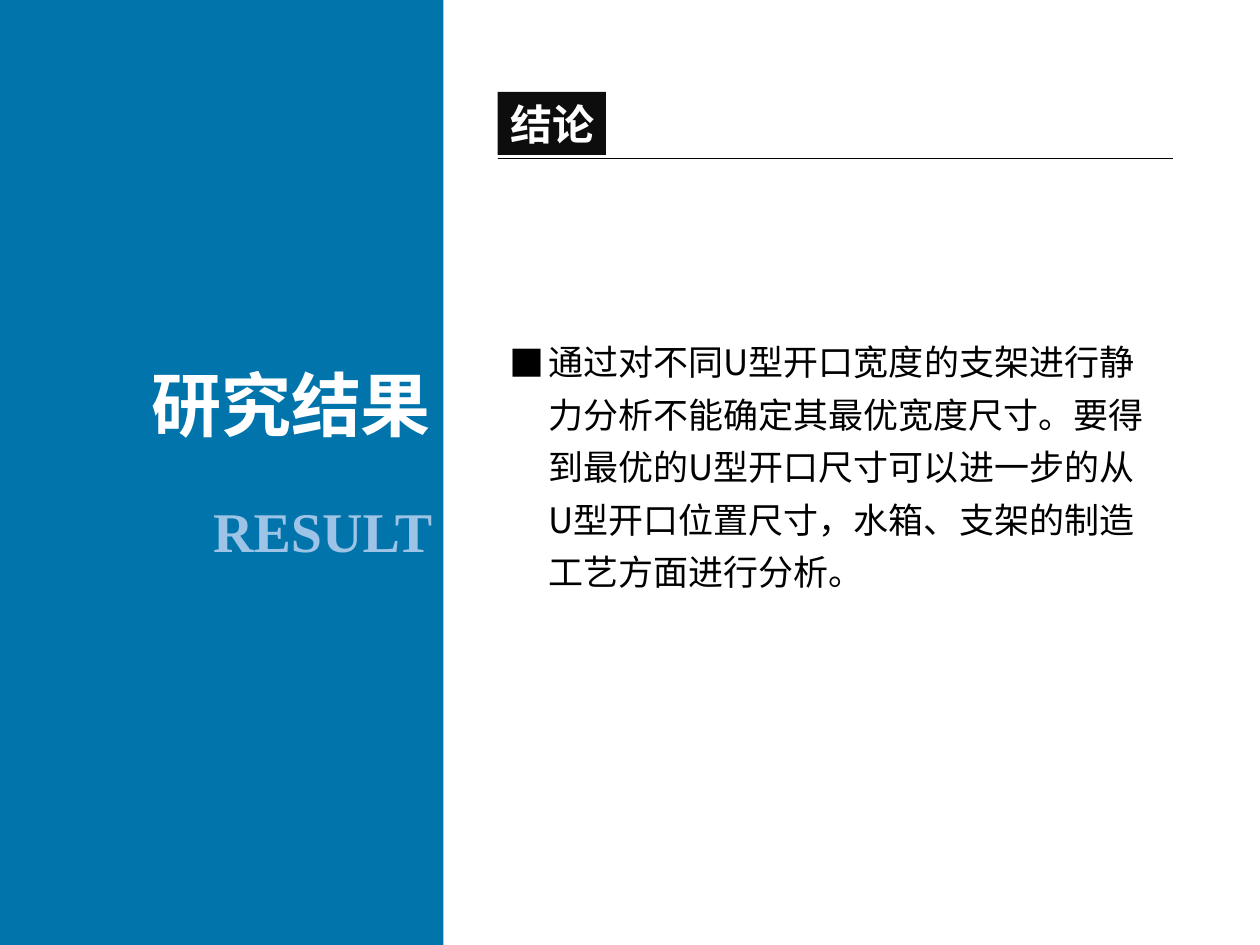
from dataclasses import dataclass

from lxml import etree
from pptx import Presentation
from pptx import util as u
from pptx.dml.color import RGBColor
from pptx.enum import shapes, text
from pptx.oxml.ns import qn

COLORS = {
    "panel": "0174AB",
    "label": "0D0D0D",
    "white": "FFFFFF",
    "subtitle": "9DC3E6",
    "black": "000000",
}
WIDTH, HEIGHT = 10, 7.5
CHINESE, LATIN = "Noto Sans CJK SC", "Times New Roman"


@dataclass
class Box:
    left: float
    top: float
    width: float
    height: float

    def lengths(self) -> list:
        shares = (self.left, self.top, self.width, self.height)
        return [u.Inches(share * side / 100)
                for share, side in zip(shares, (WIDTH, HEIGHT) * 2)]


@dataclass
class TextStyle:
    size: int
    color: str
    font: str = CHINESE
    bold: bool = True
    align: text.PP_ALIGN = text.PP_ALIGN.LEFT
    spacing: float = 1.0
    wrap: bool = True


def color(name: str) -> RGBColor:
    return RGBColor.from_string(COLORS[name])


def place(shape, box: Box) -> None:
    shape.left, shape.top, shape.width, shape.height = box.lengths()


def write(shape, wording: str, style: TextStyle):
    frame = shape.text_frame
    frame.text = wording
    frame.word_wrap = style.wrap
    frame.auto_size = text.MSO_AUTO_SIZE.NONE
    frame.vertical_anchor = text.MSO_ANCHOR.TOP
    paragraph = frame.paragraphs[0]
    paragraph.alignment = style.align
    paragraph.line_spacing = style.spacing
    paragraph.space_before = u.Pt(0)
    font = paragraph.font
    font.size, font.bold, font.name = u.Pt(style.size), style.bold, style.font
    font.color.rgb = color(style.color)
    defaults = paragraph._p.pPr.find(qn("a:defRPr"))
    east_asian = etree.Element(qn("a:ea"), typeface=style.font)
    defaults.find(qn("a:latin")).addnext(east_asian)
    return paragraph


def add_block(parent, box: Box, fill: str):
    block = parent.shapes.add_shape(shapes.MSO_SHAPE.RECTANGLE, *box.lengths())
    block.shadow.inherit = False
    block.fill.solid()
    block.fill.fore_color.rgb = color(fill)
    block.line.fill.background()
    return block


def add_rule(parent, left: float, right: float, top: float) -> None:
    start, level, length, _ = Box(left, top, right - left, 0).lengths()
    rule = parent.shapes.add_connector(
        shapes.MSO_CONNECTOR.STRAIGHT, start, level, start + length, level)
    rule.line.color.rgb = color("black")
    rule.line.width = u.Pt(0.5)
    etree.SubElement(rule._element.spPr, qn("a:effectLst"))


def add_square_bullet(paragraph, indent: float) -> None:
    properties = paragraph._p.get_or_add_pPr()
    properties.set("marL", str(u.Inches(indent)))
    properties.set("indent", str(-u.Inches(indent)))
    defaults = properties.find(qn("a:defRPr"))
    bullet_color = etree.Element(qn("a:buClr"))
    etree.SubElement(bullet_color, qn("a:srgbClr"), val=COLORS["black"])
    defaults.addprevious(bullet_color)
    defaults.addprevious(etree.Element(qn("a:buFont"), typeface=CHINESE))
    defaults.addprevious(etree.Element(qn("a:buChar"), char="■"))


def main() -> None:
    presentation = Presentation()
    presentation.slide_width = u.Inches(WIDTH)
    presentation.slide_height = u.Inches(HEIGHT)
    slide = presentation.slides.add_slide(presentation.slide_layouts[1])
    title, body = slide.placeholders

    panel = add_block(slide, Box(0, 0, 35.2, 100), "panel")
    title._element.addprevious(panel._element)

    right = text.PP_ALIGN.RIGHT
    place(title, Box(9.8, 37.6, 25.4, 10.27))
    write(title, "研究结果", TextStyle(40, "white", align=right))

    subtitle = slide.shapes.add_textbox(*Box(0, 51.87, 35.3, 8.53).lengths())
    write(subtitle, "RESULT", TextStyle(32, "subtitle", LATIN, align=right))

    heading = slide.shapes.add_group_shape()
    label = add_block(heading, Box(39.5, 9.73, 8.6, 6.67), "label")
    write(label, "结论", TextStyle(24, "white", wrap=False))
    add_rule(heading, 39.5, 93.1, 16.8)

    place(body, Box(39.4, 34.27, 53.1, 29.2))
    conclusion = write(
        body,
        "通过对不同U型开口宽度的支架进行静力分析不能确定其最优宽度尺寸。"
        "要得到最优的U型开口尺寸可以进一步的从U型开口位置尺寸，"
        "水箱、支架的制造工艺方面进行分析。",
        TextStyle(20, "black", bold=False, spacing=1.25))
    add_square_bullet(conclusion, 0.31)

    presentation.save("out.pptx")


if __name__ == "__main__":
    main()
